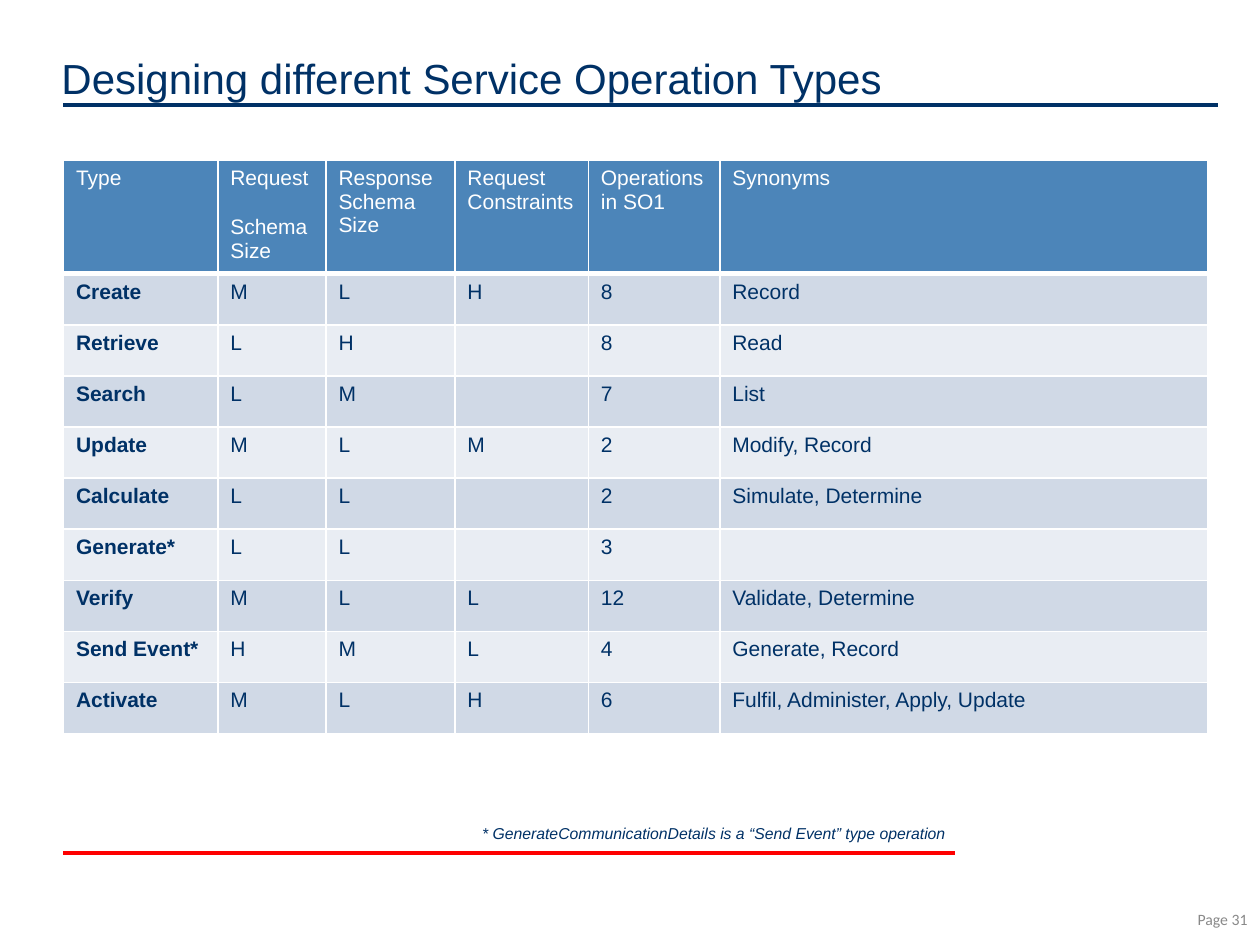
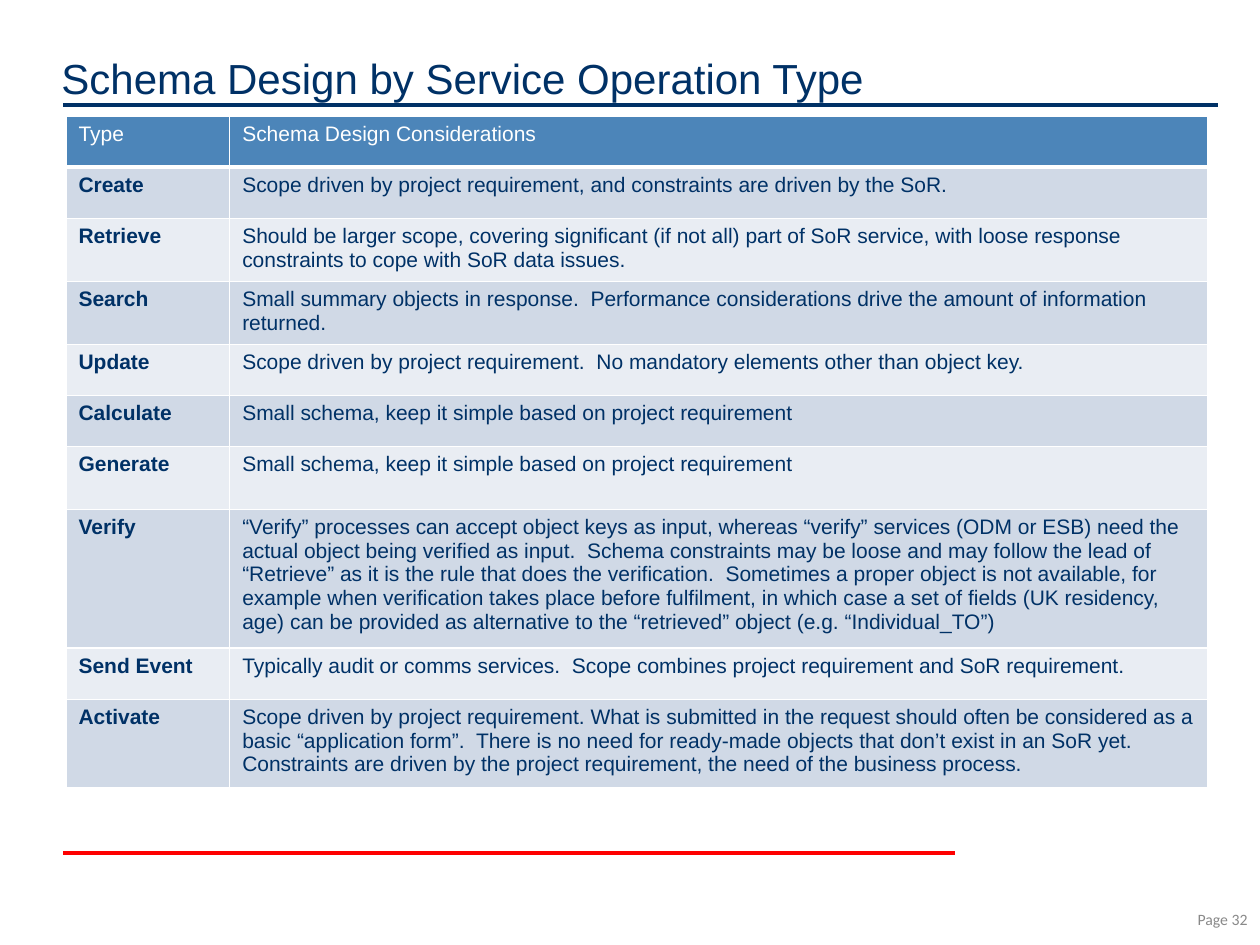
from dataclasses import dataclass

from lxml.etree import SubElement
from pptx import Presentation
from pptx.dml.color import RGBColor
from pptx.enum.shapes import MSO_CONNECTOR
from pptx.enum.text import MSO_ANCHOR, PP_ALIGN
from pptx.oxml.ns import qn
from pptx.util import Cm, Pt

NAVY = RGBColor(0x00, 0x31, 0x66)
RED = RGBColor(0xFE, 0x00, 0x00)
GREY = RGBColor(0x89, 0x89, 0x89)
WHITE = RGBColor(0xFF, 0xFF, 0xFF)
HEADER_BLUE = RGBColor(0x4C, 0x85, 0xB9)
BAND_DARK = RGBColor(0xD0, 0xD9, 0xE6)
BAND_LIGHT = RGBColor(0xE9, 0xED, 0xF3)

SLIDE_WIDTH, SLIDE_HEIGHT = 25.4, 19.05


@dataclass(frozen=True)
class Rule:
    """A horizontal line; lengths in centimetres."""
    left: float
    right: float
    top: float
    color: RGBColor


@dataclass(frozen=True)
class TableSpec:
    """A table with a header row; lengths in centimetres."""
    left: float
    top: float
    columns: list[float]
    heights: list[float]
    rows: list[tuple[str, ...]]


@dataclass(frozen=True)
class Page:
    title: str
    number: int
    table: TableSpec
    note: str = ""


RULES = [Rule(1.27, 19.25, 17.2, RED), Rule(1.27, 24.56, 2.11, NAVY)]

OPERATION_TYPES = TableSpec(
    left=1.28, top=3.23,
    columns=[3.11, 2.18, 2.6, 2.69, 2.65, 9.83],
    heights=[1.78] + [1.03] * 9,
    rows=[
        ("Type", "Request\v\vSchema Size", "Response Schema Size",
         "Request Constraints", "Operations in SO1", "Synonyms"),
        ("Create", "M", "L", "H", "8", "Record"),
        ("Retrieve", "L", "H", "", "8", "Read"),
        ("Search", "L", "M", "", "7", "List"),
        ("Update", "M", "L", "M", "2", "Modify, Record"),
        ("Calculate", "L", "L", "", "2", "Simulate, Determine"),
        ("Generate*", "L", "L", "", "3", ""),
        ("Verify", "M", "L", "L", "12", "Validate, Determine"),
        ("Send Event*", "H", "M", "L", "4", "Generate, Record"),
        ("Activate", "M", "L", "H", "6", "Fulfil, Administer, Apply, Update"),
    ],
)

SMALL_SCHEMA = "Small schema, keep it simple based on project requirement"

SCHEMA_DESIGN = TableSpec(
    left=1.33, top=2.34,
    columns=[3.3, 19.71],
    heights=[1.03, 1.03, 1.27, 1.27, 1.03, 1.03, 1.27, 2.79, 1.03, 1.78],
    rows=[
        ("Type", "Schema Design Considerations"),
        ("Create", "Scope driven by project requirement, and constraints are "
                   "driven by the SoR."),
        ("Retrieve", "Should be larger scope, covering significant (if not all) "
                     "part of SoR service, with loose response constraints to "
                     "cope with SoR data issues."),
        ("Search", "Small summary objects in response.  Performance "
                   "considerations drive the amount of information returned."),
        ("Update", "Scope driven by project requirement.  No mandatory elements "
                   "other than object key."),
        ("Calculate", SMALL_SCHEMA),
        ("Generate", SMALL_SCHEMA),
        ("Verify", "“Verify” processes can accept object keys as input, whereas "
                   "“verify” services (ODM or ESB) need the actual object being "
                   "verified as input.  Schema constraints may be loose and may "
                   "follow the lead of “Retrieve” as it is the rule that does the "
                   "verification.  Sometimes a proper object is not available, "
                   "for example when verification takes place before fulfilment, "
                   "in which case a set of fields (UK residency, age) can be "
                   "provided as alternative to the “retrieved” object (e.g. "
                   "“Individual_TO”)"),
        ("Send Event", "Typically audit or comms services.  Scope combines "
                       "project requirement and SoR requirement."),
        ("Activate", "Scope driven by project requirement. What is submitted in "
                     "the request should often be considered as a basic "
                     "“application form”.  There is no need for ready-made "
                     "objects that don’t exist in an SoR yet.  Constraints are "
                     "driven by the project requirement, the need of the "
                     "business process."),
    ],
)

PAGES = [
    Page("Designing different Service Operation Types", 31, OPERATION_TYPES,
         "* GenerateCommunicationDetails is a “Send Event” type operation"),
    Page("Schema Design by Service Operation Type", 32, SCHEMA_DESIGN),
]


def write_text(text_frame, text: str, *, size: int, color: RGBColor = NAVY,
               font: str = "Arial", bold: bool = False, italic: bool = False,
               align: PP_ALIGN = PP_ALIGN.LEFT) -> None:
    paragraph = text_frame.paragraphs[0]
    paragraph.text = text
    paragraph.alignment = align
    for run in paragraph.runs:
        run.font.name = font
        run.font.size = Pt(size)
        run.font.bold = bold
        run.font.italic = italic
        run.font.color.rgb = color
    # Line breaks take the text size too, so an empty line is no taller
    for line_break in paragraph._p.findall(qn("a:br")):
        SubElement(line_break, qn("a:rPr"), sz=str(size * 100))


def add_text_frame(slide, left: float, top: float, width: float, height: float,
                   wrap: bool = True):
    shape = slide.shapes.add_textbox(Cm(left), Cm(top), Cm(width), Cm(height))
    shape.text_frame.word_wrap = wrap
    return shape.text_frame


def add_rule(slide, rule: Rule) -> None:
    connector = slide.shapes.add_connector(
        MSO_CONNECTOR.STRAIGHT, Cm(rule.left), Cm(rule.top), Cm(rule.right), Cm(rule.top))
    connector.line.color.rgb = rule.color
    connector.line.width = Pt(2.25)
    SubElement(connector._element.spPr, qn("a:effectLst"))


def set_borders(cell, top: float = 1, bottom: float = 1) -> None:
    properties = cell._tc.get_or_add_tcPr()
    for side, width in (("L", 1), ("R", 1), ("T", top), ("B", bottom)):
        line = SubElement(properties, qn(f"a:ln{side}"), w=str(Pt(width)))
        fill = SubElement(line, qn("a:solidFill"))
        SubElement(fill, qn("a:srgbClr"), val=str(WHITE))


def add_data_table(slide, spec: TableSpec) -> None:
    table = slide.shapes.add_table(
        len(spec.rows), len(spec.columns), Cm(spec.left), Cm(spec.top),
        Cm(sum(spec.columns)), Cm(sum(spec.heights))).table
    for column, width in zip(table.columns, spec.columns):
        column.width = Cm(width)
    for row, height in zip(table.rows, spec.heights):
        row.height = Cm(height)

    for row_index, texts in enumerate(spec.rows):
        is_header = row_index == 0
        band = BAND_DARK if row_index % 2 else BAND_LIGHT
        for column_index, text in enumerate(texts):
            cell = table.cell(row_index, column_index)
            # The thick header edge is shared with the first body row
            set_borders(cell, top=3 if row_index == 1 else 1, bottom=3 if is_header else 1)
            cell.fill.solid()
            cell.fill.fore_color.rgb = HEADER_BLUE if is_header else band
            if text:
                write_text(cell.text_frame, text, size=12,
                           color=WHITE if is_header else NAVY,
                           bold=column_index == 0 and not is_header)


def add_page(presentation, page: Page) -> None:
    slide = presentation.slides.add_slide(presentation.slide_layouts[6])

    # Lines and page number
    for rule in RULES:
        add_rule(slide, rule)
    footer = add_text_frame(slide, 19.69, 18.03, 5.71, 1.02)
    footer.vertical_anchor = MSO_ANCHOR.MIDDLE
    write_text(footer, f"Page {page.number}", size=9, color=GREY,
               font="Calibri", align=PP_ALIGN.RIGHT)

    # Title
    title = add_text_frame(slide, 0.99, 0.94, 23.37, 2.31)
    write_text(title, page.title, size=24)

    # Table and its footnote
    add_data_table(slide, page.table)
    if page.note:
        note = add_text_frame(slide, 9.47, 16.48, 9.93, 0.64, wrap=False)
        write_text(note, page.note, size=9, italic=True)


def main() -> None:
    presentation = Presentation()
    presentation.slide_width = Cm(SLIDE_WIDTH)
    presentation.slide_height = Cm(SLIDE_HEIGHT)
    for page in PAGES:
        add_page(presentation, page)
    presentation.save("out.pptx")


if __name__ == "__main__":
    main()
